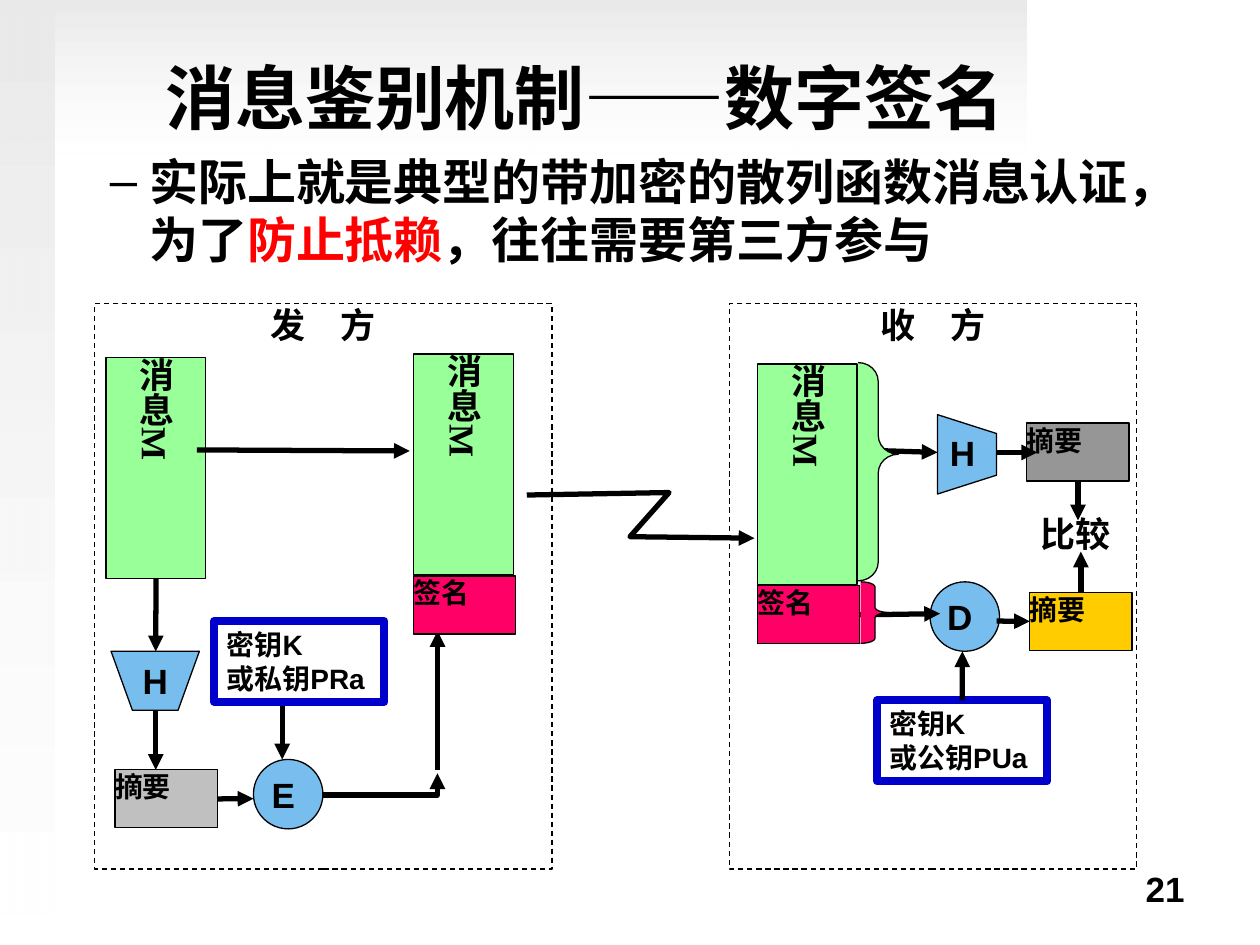
from dataclasses import dataclass
from typing import Any

from lxml.etree import SubElement
from pptx import Presentation
from pptx.dml.color import RGBColor
from pptx.enum.dml import MSO_LINE
from pptx.enum.shapes import MSO_CONNECTOR, MSO_SHAPE
from pptx.enum.text import MSO_ANCHOR, PP_ALIGN
from pptx.oxml.ns import qn
from pptx.util import Cm, Pt

TIMES, ARIAL = "Times New Roman", "Arial"
GREEN, BLUE, PINK = "99FF99", "77BDED", "FF0066"
TOP, LEFT, BOTTOM, RIGHT = range(4)
MSG, TAG, KEY, DISC = (2.01, 4.45), (2.06, 1.17), (3.43, 1.63), (1.4, 1.4)
TIGHT = dict(margin_left=0, margin_top=0, margin_right=0, margin_bottom=0,
             word_wrap=True, vertical_anchor=MSO_ANCHOR.TOP)
LOOSE = dict(margin_left=Cm(0.25), margin_top=Cm(0.13), margin_right=Cm(0.25),
             margin_bottom=Cm(0.13), word_wrap=False)


def tint(code):
    return RGBColor.from_string(code)


def put(thing, **vals):
    for name, val in vals.items():
        setattr(thing, name, val)


def place(shape, x, y, w, h):
    put(shape, left=Cm(x), top=Cm(y), width=Cm(w), height=Cm(h))


def ink(font, size, face=ARIAL, color="000000"):
    put(font, name=face, size=Pt(size), bold=True)
    font.color.rgb = tint(color)


def write(shape, text, size, face, align, frame):
    put(shape.text_frame, text=text, **frame)
    for para in shape.text_frame.paragraphs:
        para.alignment = align
        ink(para.font, size, face)


def paint(shape, fill, edge="000000", width=0.75):
    shape.shadow.inherit = False
    if fill:
        shape.fill.solid()
        shape.fill.fore_color.rgb = tint(fill)
    else:
        shape.fill.background()
    if edge:
        shape.line.color.rgb = tint(edge)
        shape.line.width = Pt(width)
    else:
        shape.line.fill.background()


def point(shape):
    """Put an arrowhead at the end of the line."""
    SubElement(shape._element.spPr.get_or_add_ln(), qn("a:tailEnd"), type="triangle")


@dataclass
class Pane:
    """A region whose parts are placed in cm from its top left corner."""
    shapes: Any
    x: float
    y: float

    def spot(self, x, y):
        return Cm(self.x + x), Cm(self.y + y)

    def form(self, kind, x, y, size, fill, edge="000000", width=0.75):
        shape = self.shapes.add_shape(kind, *self.spot(x, y), *map(Cm, size))
        paint(shape, fill, edge, width)
        return shape

    def tag(self, text, x, y, fill, size=TAG, edge="000000", points=16):
        shape = self.form(MSO_SHAPE.RECTANGLE, x, y, size, fill, edge)
        write(shape, text, points, TIMES, PP_ALIGN.LEFT, TIGHT)
        return shape

    def frame(self, text, w, h):
        shape = self.tag(text, 0, 0, "FFFFFF", (w, h), points=20)
        shape.text_frame.paragraphs[0].alignment = PP_ALIGN.CENTER
        shape.line.dash_style = MSO_LINE.DASH

    def note(self, x, y):
        shape = self.form(MSO_SHAPE.RECTANGLE, x, y, MSG, GREEN)
        write(shape, "消息M", 20, TIMES, PP_ALIGN.CENTER,
              TIGHT | dict(vertical_anchor=MSO_ANCHOR.MIDDLE))
        shape.text_frame._txBody.bodyPr.set("vert", "eaVert")
        return shape

    def key(self, text, x, y):
        shape = self.form(MSO_SHAPE.RECTANGLE, x, y, KEY, "FFFFFF", "0000CC", 4.5)
        write(shape, text, 16, ARIAL, PP_ALIGN.LEFT,
              LOOSE | dict(vertical_anchor=MSO_ANCHOR.TOP))
        return shape

    def letter(self, shape, text):
        write(shape, text, 20, ARIAL, PP_ALIGN.CENTER,
              LOOSE | dict(vertical_anchor=MSO_ANCHOR.MIDDLE))

    def disc(self, text, x, y):
        self.letter(self.form(MSO_SHAPE.OVAL, x, y, DISC, BLUE), text)

    def brace(self, x, y, size, fill, curve, mid):
        shape = self.form(MSO_SHAPE.RIGHT_BRACE, x, y, size, fill)
        shape.adjustments[0], shape.adjustments[1] = curve, mid

    def trace(self, dots, closed):
        first, *rest = [self.spot(*dot) for dot in dots]
        pen = self.shapes.build_freeform(*first)
        pen.add_line_segments(rest, close=closed)
        return pen.convert_to_shape()

    def trap(self, dots):
        shape = self.trace(dots, True)
        paint(shape, BLUE)
        return shape

    def arrow(self, start, end, kind=MSO_CONNECTOR.STRAIGHT):
        """Each end is a spot (x, y) or a joint (shape, side)."""
        spots = [(0, 0) if hasattr(e[0], "shape_id") else e for e in (start, end)]
        line = self.shapes.add_connector(kind, *self.spot(*spots[0]), *self.spot(*spots[1]))
        for e, join in ((start, line.begin_connect), (end, line.end_connect)):
            if hasattr(e[0], "shape_id"):
                join(*e)
        line.line.color.rgb = tint("000000")
        line.line.width = Pt(3)
        point(line)
        SubElement(line._element.spPr, qn("a:effectLst"))
        return line


def backdrop(prs, slide):
    """Pale gradient bands behind everything, kept on the master."""
    tree = prs.slide_master.shapes._spTree
    bands = [((8.79, -8.79, 3.12, 20.7), 90, 0, 49), ((0, 0, 1.09, 18.44), 180, 90, 65)]
    for at, (box, turn, angle, alpha) in enumerate(bands, 2):
        band = slide.shapes.add_shape(MSO_SHAPE.RECTANGLE, *map(Cm, box))
        paint(band, None, None)
        band.rotation = turn
        band.fill.gradient()
        band.fill.gradient_angle = angle
        for stop, code in zip(band.fill.gradient_stops, ("EAEAEA", "FFFFFF")):
            stop.color.rgb = tint(code)
        last = band._element.spPr.findall(".//" + qn("a:srgbClr"))[-1]
        SubElement(last, qn("a:alpha"), val=str(alpha * 1000))
        tree.insert(at, band._element)


def heading(slide):
    title, body = slide.placeholders
    place(title, 0.69, 0.71, 22.2, 2.46)
    write(title, "消息鉴别机制——数字签名", 40, ARIAL, PP_ALIGN.CENTER,
          dict(vertical_anchor=MSO_ANCHOR.MIDDLE))
    place(body, 0.69, 2.92, 24, 13.59)
    para = body.text_frame.paragraphs[0]
    put(para, level=1, space_before=Pt(0))
    for text, color in (("实际上就是典型的带加密的散列函数消息认证，为了", "000000"),
                        ("防止抵赖", "FF0000"), ("，往往需要第三方参与", "000000")):
        run = para.add_run()
        run.text = text
        ink(run.font, 28, color=color)


def sender(pane, w, h):
    pane.frame("发　方", w, h)
    note = pane.note(0.23, 1.09)
    pane.arrow((3.78, 7.8), (3.78, 9.19))
    pane.disc("E ", 3.2, 9.19)
    pane.key("密钥K\n或私钥PRa", 2.41, 6.4)
    pane.arrow((2.06, 2.95), (6.35, 2.97))
    pane.arrow((6.91, 9.4), (6.91, 6.6))
    pane.tag("签名", 6.43, 5.49, PINK)
    pane.note(6.43, 1.02)
    digest = pane.tag("摘要", 0.41, 9.4, "C0C0C0")
    pane.arrow((digest, RIGHT), (3.2, 9.98))
    pane.arrow((note, BOTTOM), (1.23, 7.01))
    pane.arrow((1.23, 8.2), (1.23, 9.4))
    hash_box = pane.trap([(0.33, 7.01), (0.76, 8.2), (1.68, 8.2), (2.11, 7.01)])
    pane.letter(hash_box, "H")
    bend = pane.arrow((4.6, 9.91), (6.91, 9.47), MSO_CONNECTOR.ELBOW)
    bend._element.spPr.find(qn("a:prstGeom")).set("prst", "bentConnector2")


def receiver(pane, w, h):
    pane.frame("收　方", w, h)
    sign = pane.tag("签名", 0.56, 5.69, PINK)
    pane.note(0.56, 1.22)
    pane.disc("D ", 4.04, 5.61)
    key = pane.key("密钥K\n或公钥PUa", 2.97, 8)
    pane.arrow((key, TOP), (4.69, 7.01))
    pane.arrow((sign, RIGHT), (4.24, 6.25))
    pane.brace(2.64, 5.61, (0.58, 1.24), PINK, 0.18, 0.5)
    pane.tag("比较", 6.27, 4.22, "FFFFFF", (1.52, 1.75), None, 20)
    found = pane.tag("摘要", 6.05, 5.82, "FFCC00")
    pane.arrow((found, TOP), (7.08, 5))
    pane.arrow((5.38, 6.4), (found, LEFT))
    pane.arrow((2.57, 2.95), (4.19, 3))
    pane.brace(2.59, 1.19, (0.81, 4.4), GREEN, 0.47, 0.42)
    made = pane.tag("摘要", 5.99, 2.41, "969696")
    pane.arrow((made, BOTTOM), (7.02, 4.37))
    pane.arrow((5.38, 3), (6.2, 3))
    pane.trap([(4.19, 2.24), (5.38, 2.62), (5.38, 3.46), (4.19, 3.84)])
    label = pane.shapes.add_textbox(*pane.spot(4.19, 2.44), Cm(1.02), Cm(1.12))
    write(label, "H", 20, ARIAL, PP_ALIGN.LEFT, LOOSE)


def channel(pane):
    zigzag = pane.trace([(0, 0.05), (2.87, 0), (2.08, 0.89), (4.59, 0.92)], False)
    paint(zigzag, None, width=3)
    point(zigzag)


def folio(slide, x, y, w, h):
    box = slide.shapes.add_textbox(Cm(x), Cm(y), Cm(w), Cm(h))
    write(box, "21", 20, ARIAL, PP_ALIGN.RIGHT, LOOSE | dict(word_wrap=True))


def main():
    prs = Presentation()
    put(prs, slide_width=Cm(25.4), slide_height=Cm(19.05))
    slide = prs.slides.add_slide(prs.slide_layouts[1])
    backdrop(prs, slide)
    heading(slide)
    sender(Pane(slide.shapes, 1.91, 6.12), 9.22, 11.4)
    receiver(Pane(slide.shapes, 14.71, 6.12), 8.2, 11.4)
    channel(Pane(slide.shapes, 10.62, 9.93))
    folio(slide, 18.21, 17.35, 5.92, 1.32)
    prs.save("out.pptx")


if __name__ == "__main__":
    main()
